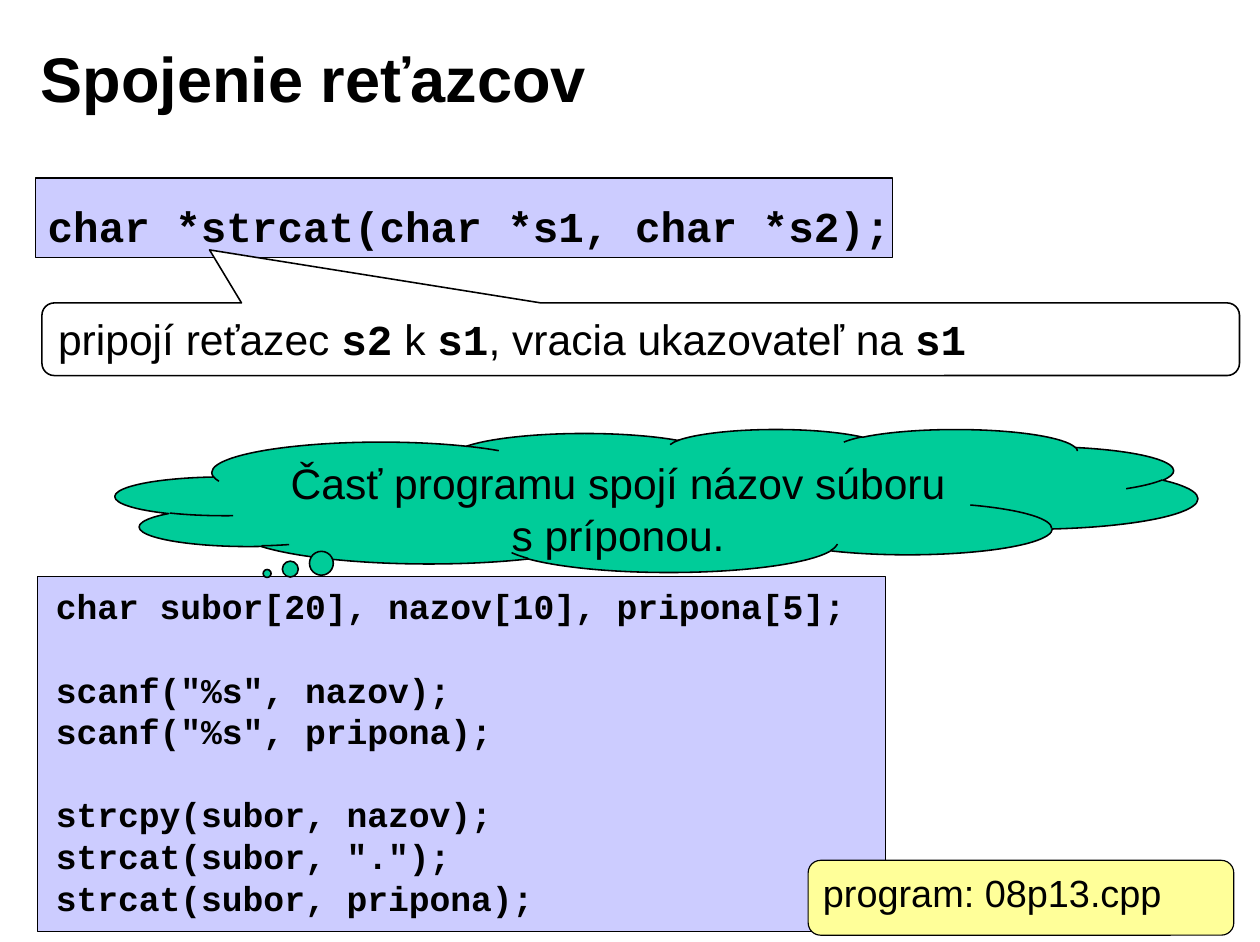
from dataclasses import dataclass

from pptx import Presentation
from pptx.dml.color import RGBColor
from pptx.enum.shapes import MSO_SHAPE
from pptx.enum.text import MSO_ANCHOR, MSO_AUTO_SIZE, PP_ALIGN
from pptx.util import Pt


@dataclass(frozen=True)
class Theme:
    ink: str = "000000"
    code: str = "CCCCFF"
    cloud: str = "00CC99"
    note: str = "FFFF99"
    paper: str = "FFFFFF"
    sans: str = "Arial"
    mono: str = "Courier New"
    title: int = 40
    main: int = 27
    file: int = 24
    small: int = 22
    lead: float = 1.2


def color(code):
    return RGBColor.from_string(code)


def write(para, text, *, size, font, ink, bold=False):
    run = para.add_run()
    run.text = text
    run.font.size = Pt(size)
    run.font.name = font
    run.font.bold = bold
    run.font.color.rgb = color(ink)


class Page:
    def __init__(self, slide, theme):
        self.slide = slide
        self.theme = theme

    def frame(self, shape, pad=(8, 4.3), anchor=MSO_ANCHOR.TOP):
        """Set the insets, wrapping and anchor of a shape's text."""
        text = shape.text_frame
        text.word_wrap = True
        text.auto_size = MSO_AUTO_SIZE.NONE
        text.vertical_anchor = anchor
        text.margin_left = text.margin_right = Pt(pad[0])
        text.margin_top = text.margin_bottom = Pt(pad[1])
        return text

    def line(self, para, parts, size, align=PP_ALIGN.LEFT):
        """Fill a paragraph from (text, is code) pairs."""
        look = self.theme
        para.alignment = align
        para.line_spacing = Pt(round(size * look.lead, 1))
        for text, mono in parts:
            write(para, text, size=size, bold=mono, ink=look.ink,
                  font=look.mono if mono else look.sans)

    def title(self, text, box):
        look = self.theme
        shape = self.slide.shapes.title
        shape.left, shape.top, shape.width, shape.height = map(Pt, box)
        para = self.frame(shape, anchor=MSO_ANCHOR.MIDDLE).paragraphs[0]
        para.alignment = PP_ALIGN.LEFT
        write(para, text, size=look.title, font=look.sans, ink=look.ink, bold=True)

    def shape(self, kind, box, fill, width=0.75, adjust=()):
        shape = self.slide.shapes.add_shape(kind, *map(Pt, box))
        shape.shadow.inherit = False
        shape.fill.solid()
        shape.fill.fore_color.rgb = color(fill)
        shape.line.color.rgb = color(self.theme.ink)
        shape.line.width = Pt(width)
        for i, value in enumerate(adjust):
            shape.adjustments[i] = value
        return shape

    def label(self, shape, parts, size, align=PP_ALIGN.LEFT, **room):
        para = self.frame(shape, **room).paragraphs[0]
        self.line(para, parts, size, align)

    def code(self, panel, box, blocks, size):
        """Draw a panel with code on it, one line's gap between blocks."""
        self.shape(MSO_SHAPE.RECTANGLE, panel, self.theme.code)
        text = self.frame(self.slide.shapes.add_textbox(*map(Pt, box)))
        para = text.paragraphs[0]
        for i, block in enumerate(blocks):
            for j, row in enumerate(block):
                if i or j:
                    para = text.add_paragraph()
                if i and not j:
                    para.space_before = Pt(round(size * self.theme.lead, 1))
                self.line(para, [(row, True)], size)


def main():
    deck = Presentation()
    deck.slide_width, deck.slide_height = Pt(799.2), Pt(597.6)
    look = Theme()
    page = Page(deck.slides.add_slide(deck.slide_layouts[5]), look)

    page.title("Spojenie reťazcov", (18, 12.2, 641.5, 73.4))

    page.code((23.8, 365.8, 537.8, 225.4), (27.4, 367, 524.9, 221), [
        ["char subor[20], nazov[10], pripona[5];"],
        ['scanf("%s", nazov);', 'scanf("%s", pripona);'],
        ["strcpy(subor, nazov);", 'strcat(subor, ".");', "strcat(subor, pripona);"],
    ], look.small)

    cloud = page.shape(MSO_SHAPE.CLOUD_CALLOUT, (73.4, 272.2, 686.2, 90.7),
                       look.cloud, 1, (-0.36, 0.51))
    page.label(cloud, [("Časť programu spojí názov súboru s príponou.", False)],
               look.main, PP_ALIGN.CENTER)

    file = page.shape(MSO_SHAPE.ROUNDED_RECTANGLE, (512.6, 545.8, 270, 47.5), look.note)
    page.label(file, [("program: 08p13.cpp", False)], look.file, pad=(7.2, 3.6))

    page.code((22.3, 113, 543.6, 50.4), (22.3, 122.5, 557.3, 41),
              [["char *strcat(char *s1, char *s2);"]], look.main)

    hint = page.shape(MSO_SHAPE.ROUNDED_RECTANGULAR_CALLOUT, (26.6, 192.2, 759.6, 46.1),
                      look.paper, 1, (-0.36, -1.23, 0.17))
    page.label(hint, [("pripojí reťazec ", False), ("s2", True), (" k ", False),
                      ("s1", True), (", vracia ukazovateľ na ", False), ("s1", True)],
               look.main)

    deck.save("out.pptx")


if __name__ == "__main__":
    main()
